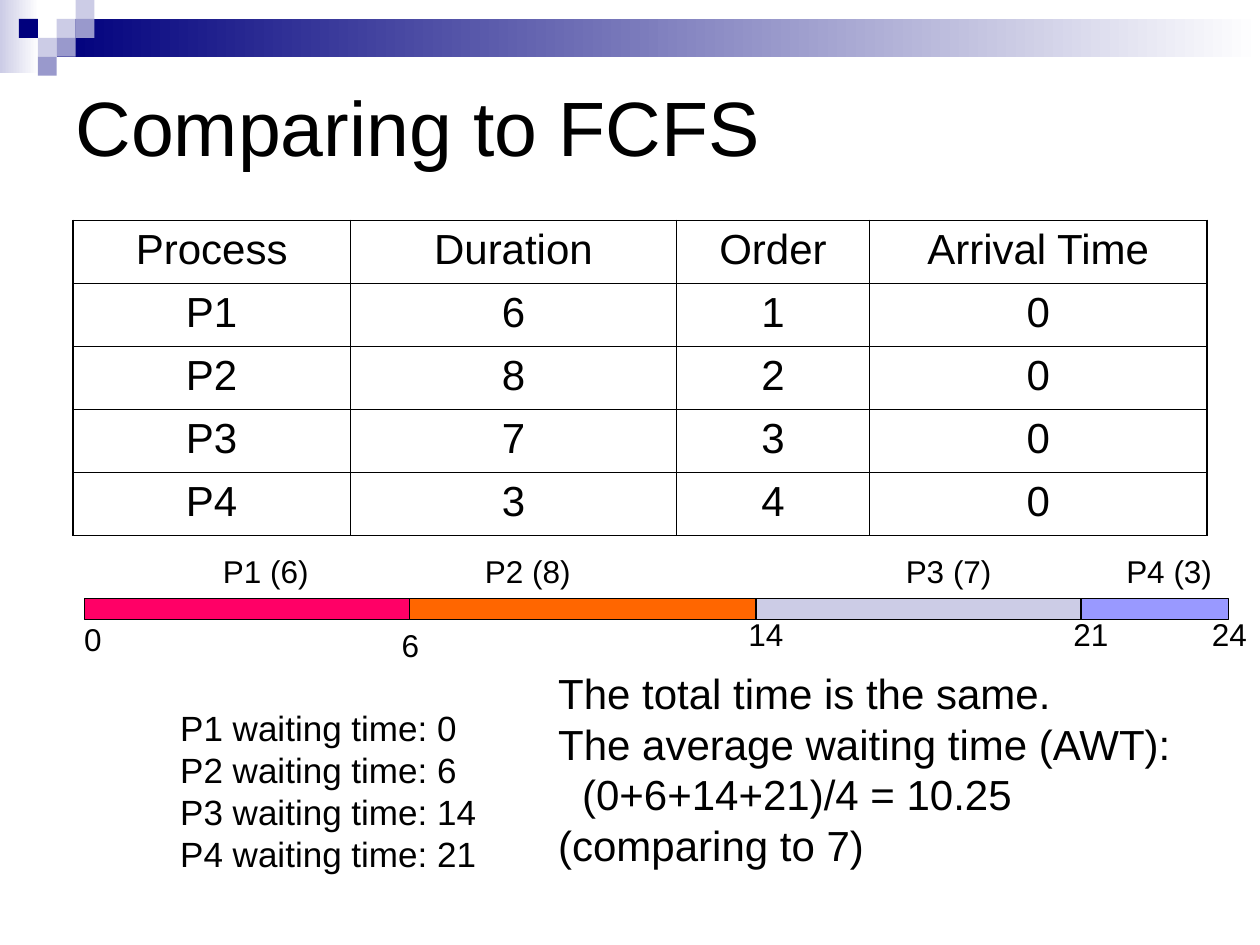
from pptx import Presentation
from pptx.dml.color import RGBColor
from pptx.enum.dml import MSO_LINE
from pptx.enum.shapes import MSO_CONNECTOR, MSO_SHAPE
from pptx.enum.text import MSO_ANCHOR, MSO_AUTO_SIZE, PP_ALIGN
from pptx.oxml import parse_xml
from pptx.oxml.ns import nsdecls
from pptx.oxml.xmlchemy import OxmlElement
from pptx.util import Pt

PX = 9144
BLACK = RGBColor(0x00, 0x00, 0x00)
WHITE = RGBColor(0xFF, 0xFF, 0xFF)
NAVY = RGBColor(0x00, 0x00, 0x7D)
PALE = RGBColor(0xCC, 0xCC, 0xE6)
MID = RGBColor(0x99, 0x99, 0xCC)
PINK = RGBColor(0xFF, 0x00, 0x66)
ORANGE = RGBColor(0xFF, 0x66, 0x00)
LILAC = RGBColor(0x99, 0x99, 0xFF)


def scale(*sizes):
    return [size * PX for size in sizes]


def place(shape, box):
    shape.left, shape.top, shape.width, shape.height = scale(*box)


def write(para, text, size):
    run = para.add_run()
    run.text = text
    run.font.size = Pt(size)
    run.font.name = "Arial"
    run.font.color.rgb = BLACK


def add_rect(slide, box):
    rect = slide.shapes.add_shape(MSO_SHAPE.RECTANGLE, *scale(*box))
    rect.shadow.inherit = False
    rect.line.fill.background()
    return rect


def add_label(slide, text, box):
    label = slide.shapes.add_textbox(*scale(*box))
    label.text_frame.word_wrap = False
    label.text_frame.auto_size = MSO_AUTO_SIZE.SHAPE_TO_FIT_TEXT
    write(label.text_frame.paragraphs[0], text, 18)


def add_banner(slide, box):
    left, top, width, height = box
    step = 15
    fades = [((left, top, 31, height), PALE),
             ((left + 3 * step, top + step, width - 3 * step, 2 * step), NAVY)]
    for area, start in fades:
        fill = add_rect(slide, area).fill
        fill.gradient()
        fill.gradient_angle = 0
        for stop, tone in zip(fill.gradient_stops, (start, WHITE)):
            stop.color.rgb = tone
    tiles = [(3, 1, PALE), (4, 0, PALE), (4, 1, MID), (2, 2, PALE),
             (1, 1, NAVY), (3, 2, MID), (2, 3, MID)]
    for col, row, tone in tiles:
        tile = add_rect(slide, (left + col * step, top + row * step, step, step))
        tile.fill.solid()
        tile.fill.fore_color.rgb = tone


def set_title(slide, box):
    title = slide.shapes.title
    place(title, box)
    title.text_frame.vertical_anchor = MSO_ANCHOR.MIDDLE
    para = title.text_frame.paragraphs[0]
    para.alignment = PP_ALIGN.LEFT
    write(para, "Comparing to FCFS", 44)


def set_edge(cell, side, width):
    cell._tc.get_or_add_tcPr().append(parse_xml(
        f'<a:ln{side} {nsdecls("a")} w="{Pt(width)}"><a:solidFill>'
        f'<a:srgbClr val="{BLACK}"/></a:solidFill></a:ln{side}>'))


def add_grid(slide, box):
    rows = [("Process", "Duration", "Order", "Arrival Time"),
            ("P1", "6", "1", "0"), ("P2", "8", "2", "0"),
            ("P3", "7", "3", "0"), ("P4", "3", "4", "0")]
    widths = (220, 259, 153, 268)
    high, wide = len(rows), len(widths)
    table = slide.shapes.add_table(high, wide, *scale(*box)).table
    table.first_row = table.horz_banding = False
    for col, width in zip(table.columns, widths):
        col.width = width * PX
    for r, row in enumerate(rows):
        for c, text in enumerate(row):
            cell = table.cell(r, c)
            edges = {"L": c == 0, "R": c == wide - 1,
                     "T": r == 0, "B": r == high - 1}
            for side, rim in edges.items():
                set_edge(cell, side, 1.08 if rim else 0.45)
            cell.fill.background()
            para = cell.text_frame.paragraphs[0]
            para.alignment = PP_ALIGN.CENTER
            para.space_before = Pt(6)
            write(para, text, 24)


def add_chain(slide, box):
    left, top, width, height = box
    mid, end = top + height // 2, left + width
    axis = slide.shapes.add_connector(
        MSO_CONNECTOR.STRAIGHT, *scale(left + 8, mid, end, mid))
    axis.line.color.rgb = BLACK
    axis.line.width = Pt(0.75)
    axis.line.dash_style = MSO_LINE.DASH
    axis._element.spPr.append(OxmlElement("a:effectLst"))

    jobs = [("P1 (6)", 258, 100, PINK), ("P2 (8)", 275, 50, ORANGE),
            ("P3 (7)", 258, 109, PALE), ("P4 (3)", 117, 26, LILAC)]
    start = left
    for name, span, inset, tone in jobs:
        bar = add_rect(slide, (start, top, span, height))
        bar.fill.solid()
        bar.fill.fore_color.rgb = tone
        bar.line.color.rgb = BLACK
        bar.line.width = Pt(0.75)
        add_label(slide, name, (start + inset, top - 42, 88, 40))
        start += span
    axis.end_connect(bar, 3)

    ticks = [("0", -10, 12, 34), ("6", 242, 17, 34), ("14", 517, 8, 48),
             ("21", 775, 8, 48), ("24", 885, 8, 48)]
    for text, x, y, span in ticks:
        add_label(slide, text, (left + x, top + y, span, 40))


def set_list(body, box, lines, size):
    place(body, box)
    frame = body.text_frame
    frame.word_wrap = False
    frame.margin_right = 0
    frame.auto_size = MSO_AUTO_SIZE.NONE
    for i, (text, inset) in enumerate(lines):
        para = frame.add_paragraph() if i else frame.paragraphs[0]
        para.alignment = PP_ALIGN.LEFT
        para.space_before = Pt(0)
        props = para._p.get_or_add_pPr()
        props.set("marL", str(inset * PX))
        props.set("indent", "0")
        props.append(OxmlElement("a:buNone"))
        write(para, text, size)


def main():
    deck = Presentation()
    deck.slide_width, deck.slide_height = scale(1000, 750)
    slide = deck.slides.add_slide(deck.slide_layouts[3])
    add_banner(slide, (0, 0, 1000, 58))
    set_title(slide, (50, 50, 900, 100))
    add_grid(slide, (58, 175, 900, 250))
    add_chain(slide, (67, 475, 908, 17))
    waits = [(f"P{i} waiting time: {wait}", 0)
             for i, wait in enumerate((0, 6, 14, 21), 1)]
    set_list(slide.placeholders[1], (133, 556, 260, 144), waits, 20)
    notes = [("The total time is the same.", 0),
             ("The average waiting time (AWT):", 0),
             ("(0+6+14+21)/4 = 10.25", 19),
             ("(comparing to 7)", 0)]
    set_list(slide.placeholders[2], (433, 525, 516, 170), notes, 24)
    deck.save("out.pptx")


if __name__ == "__main__":
    main()
